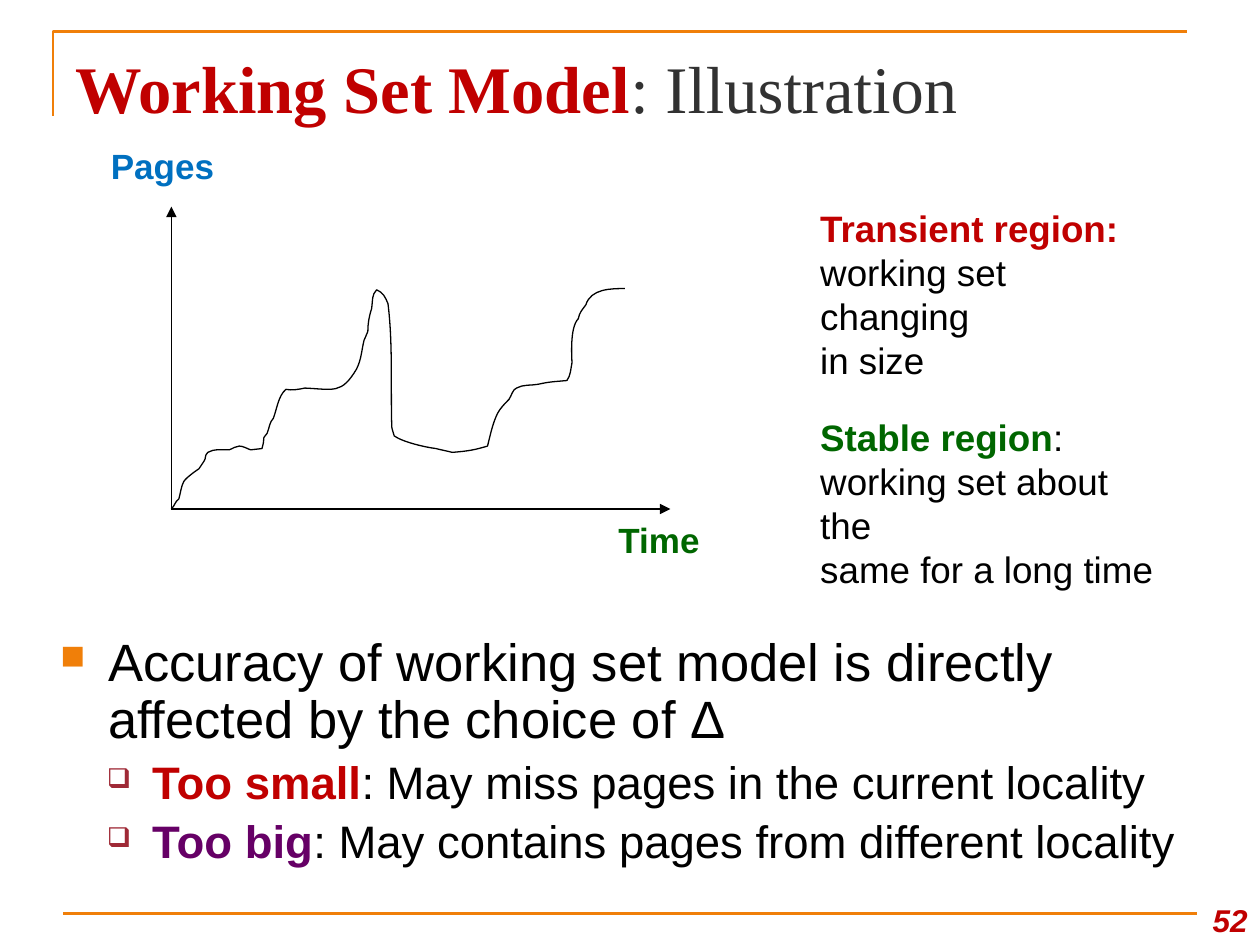
"""Build the working set model slide on a grid of 1000 columns by 750 rows."""
from dataclasses import dataclass
from typing import Optional

import pptx
import pptx.dml.color
import pptx.enum.shapes
import pptx.enum.text
import pptx.oxml.ns
import pptx.oxml.xmlchemy
import pptx.util

COLUMNS, ROWS = 1000, 750
CELL = pptx.util.Inches(10) // COLUMNS
ALIGN = pptx.enum.text.PP_ALIGN
ANCHOR = pptx.enum.text.MSO_ANCHOR
qn = pptx.oxml.ns.qn
new_element = pptx.oxml.xmlchemy.OxmlElement


@dataclass(frozen=True)
class Theme:
    """Colours, fonts and type sizes of the slide."""
    black: str = "000000"
    grey: str = "323232"
    orange: str = "F07F09"
    red: str = "C00000"
    dark_red: str = "9F2936"
    blue: str = "0070C0"
    green: str = "006600"
    purple: str = "660066"
    body_font: str = "Arial"
    title_font: str = "Times New Roman"
    title: int = 38
    body: int = 30
    detail: int = 26
    region: int = 21
    label: int = 20
    number: int = 18
    frame_width: float = 1.5
    graph_width: float = 0.75


THEME = Theme()


@dataclass(frozen=True)
class Box:
    """A rectangle in grid cells."""
    column: int
    row: int
    columns: int
    rows: int


@dataclass(frozen=True)
class Bullet:
    """A bullet sign with its colour, relative size and indents."""
    sign: str
    color: str
    percent: int
    margin: int
    hanging: int


@dataclass(frozen=True)
class Region:
    """A region of the graph and its explanation."""
    row: int
    name: str
    colon: str
    color: str
    lines: tuple


SQUARE = Bullet("■", THEME.orange, 65, 38, 38)
OPEN_SQUARE = Bullet("❑", THEME.dark_red, 60, 73, 36)

REGIONS = (
    Region(159, "Transient region:", "", THEME.red, ("working set changing", "in size")),
    Region(325, "Stable region", ":", THEME.green, ("working set about the", "same for a long time")),
)

DETAILS = (
    ("Too small", THEME.red, ": May miss pages in the current locality"),
    ("Too big", THEME.purple, ": May contains pages from different locality"),
)

ORIGIN = (136, 404)
AXIS_ENDS = ((136, 164), (532, 404))
CURVE = (
    (139, 401), (139, 398), (142, 396), (143, 393), (144, 385), (146, 382),
    (148, 379), (155, 374), (158, 372), (159, 370), (161, 368), (162, 366),
    (164, 363), (162, 362), (165, 359), (170, 356), (176, 357), (182, 357),
    (185, 356), (187, 354), (190, 354), (193, 354), (196, 356), (199, 357),
    (202, 356), (205, 357), (208, 356), (209, 355), (208, 353), (209, 352),
    (210, 346), (208, 349), (212, 344), (214, 339), (214, 335), (217, 332),
    (220, 324), (221, 314), (227, 309), (232, 310), (237, 309), (242, 308),
    (265, 309), (271, 313), (283, 293), (287, 285), (287, 278), (289, 270),
    (290, 268), (292, 263), (292, 263), (292, 257), (293, 251), (295, 245),
    (296, 238), (295, 234), (299, 230), (304, 232), (306, 236), (308, 241),
    (312, 273), (310, 308), (311, 339), (311, 340), (313, 346), (313, 346),
    (320, 351), (338, 355), (346, 356), (350, 357), (355, 358), (359, 359),
    (372, 358), (377, 357), (387, 354), (389, 346), (391, 336), (395, 328),
    (397, 324), (401, 320), (404, 317), (406, 314), (407, 309), (410, 308),
    (415, 305), (422, 306), (427, 305), (436, 303), (439, 303), (450, 302),
    (453, 298), (453, 293), (454, 288), (454, 284), (452, 260), (459, 253),
    (460, 248), (462, 246), (465, 242), (469, 229), (485, 229), (496, 229),
)


def rgb(color: str) -> pptx.dml.color.RGBColor:
    """Turn a hexadecimal string into a colour."""
    return pptx.dml.color.RGBColor.from_string(color)


def place(shape, box: Box) -> None:
    """Put a shape on the grid."""
    shape.left, shape.top = box.column * CELL, box.row * CELL
    shape.width, shape.height = box.columns * CELL, box.rows * CELL


def add_text(paragraph, text: str, *, size: float, color: str, bold: bool = False,
             italic: bool = False, name: str = THEME.body_font) -> None:
    """Add a formatted run to a paragraph."""
    run = paragraph.add_run()
    run.text = text
    font = run.font
    font.size, font.bold, font.italic, font.name = pptx.util.Pt(size), bold, italic, name
    font.color.rgb = rgb(color)


def set_frame(frame, anchor=ANCHOR.TOP, inset: tuple = (9, 4)) -> None:
    """Set wrapping, anchor and insets of a text frame."""
    frame.word_wrap, frame.vertical_anchor = True, anchor
    frame.margin_left = frame.margin_right = inset[0] * CELL
    frame.margin_top = frame.margin_bottom = inset[1] * CELL


def add_box(slide, box: Box, align=ALIGN.LEFT, anchor=ANCHOR.TOP, inset: tuple = (9, 4)):
    """Add a text box and return its frame."""
    shape = slide.shapes.add_textbox(0, 0, 0, 0)
    place(shape, box)
    set_frame(shape.text_frame, anchor, inset)
    shape.text_frame.paragraphs[0].alignment = align
    return shape.text_frame


def set_bullet(paragraph, bullet: Bullet) -> None:
    """Give a paragraph a bullet and a hanging indent."""
    properties = paragraph._p.get_or_add_pPr()
    properties.set("marL", str(bullet.margin * CELL))
    properties.set("indent", str(-bullet.hanging * CELL))
    color = new_element("a:buClr")
    value = new_element("a:srgbClr")
    value.set("val", bullet.color)
    color.append(value)
    size = new_element("a:buSzPct")
    size.set("val", str(bullet.percent * 1000))
    sign = new_element("a:buChar")
    sign.set("char", bullet.sign)
    properties.extend((color, size, sign))


def add_line(slide, start: tuple, end: tuple, color: str, width: float,
             head: Optional[str] = None) -> None:
    """Add a straight line, with an arrowhead at its end if one is named."""
    ends = [value * CELL for value in (*start, *end)]
    line = slide.shapes.add_connector(pptx.enum.shapes.MSO_CONNECTOR.STRAIGHT, *ends)
    line.line.color.rgb, line.line.width = rgb(color), pptx.util.Pt(width)
    if head:
        tail = new_element("a:tailEnd")
        tail.set("type", head)
        line.line._get_or_add_ln().append(tail)
    line._element.spPr.append(new_element("a:effectLst"))


def add_outline(slide, start: tuple, points: tuple, color: str, width: float,
                curved: bool = False) -> None:
    """Add an open outline, reading points in threes as cubic curves if curved."""
    builder = slide.shapes.build_freeform(*start, scale=CELL)
    builder.add_line_segments(points, close=False)
    shape = builder.convert_to_shape()
    shape.shadow.inherit = False
    shape.fill.background()
    shape.line.color.rgb, shape.line.width = rgb(color), pptx.util.Pt(width)
    if curved:
        outline = shape._element.find(".//" + qn("a:path"))
        segments = outline.findall(qn("a:lnTo"))
        for index in range(0, len(segments), 3):
            cubic = new_element("a:cubicBezTo")
            for segment in segments[index:index + 3]:
                cubic.append(segment[0])
                outline.remove(segment)
            outline.append(cubic)


def add_region(slide, region: Region) -> None:
    """Explain one region of the graph."""
    frame = add_box(slide, Box(642, region.row, 287, 149))
    heading = frame.paragraphs[0]
    add_text(heading, region.name, size=THEME.region, color=region.color, bold=True)
    if region.colon:
        add_text(heading, region.colon, size=THEME.region, color=THEME.black)
    for line in region.lines:
        add_text(frame.add_paragraph(), line, size=THEME.region, color=THEME.black)


def add_body(slide) -> None:
    """Add the bulleted conclusions."""
    frame = add_box(slide, Box(38, 500, 917, 200), inset=(10, 5))
    statement = frame.paragraphs[0]
    set_bullet(statement, SQUARE)
    add_text(statement, "Accuracy of working set model is directly affected by the choice of Δ",
             size=THEME.body, color=THEME.black)
    for name, color, text in DETAILS:
        paragraph = frame.add_paragraph()
        paragraph.level, paragraph.space_before = 1, pptx.util.Pt(6)
        set_bullet(paragraph, OPEN_SQUARE)
        add_text(paragraph, name, size=THEME.detail, color=color, bold=True)
        add_text(paragraph, text, size=THEME.detail, color=THEME.black)
    for paragraph in frame.paragraphs:
        paragraph.line_spacing = 0.9


def main() -> None:
    """Build and save the presentation."""
    presentation = pptx.Presentation()
    presentation.slide_width, presentation.slide_height = COLUMNS * CELL, ROWS * CELL
    slide = presentation.slides.add_slide(presentation.slide_layouts[5])
    add_outline(slide, (42, 92), ((42, 25), (942, 25)), THEME.orange, THEME.frame_width)
    add_line(slide, (50, 725), (950, 725), THEME.orange, THEME.frame_width)

    title = slide.shapes.title
    place(title, Box(50, 30, 900, 78))
    set_frame(title.text_frame, ANCHOR.MIDDLE, (10, 5))
    heading = title.text_frame.paragraphs[0]
    heading.alignment = ALIGN.LEFT
    add_text(heading, "Working Set Model", size=THEME.title, color=THEME.red, bold=True,
             name=THEME.title_font)
    add_text(heading, ": Illustration", size=THEME.title, color=THEME.grey, name=THEME.title_font)

    add_body(slide)
    add_outline(slide, ORIGIN, CURVE, THEME.black, THEME.graph_width, curved=True)
    for end in AXIS_ENDS:
        add_line(slide, ORIGIN, end, THEME.black, THEME.graph_width, "triangle")
    for text, color, box in (("Pages", THEME.blue, Box(46, 101, 166, 61)),
                             ("Time", THEME.green, Box(479, 407, 88, 43))):
        frame = add_box(slide, box, ALIGN.CENTER, ANCHOR.MIDDLE)
        add_text(frame.paragraphs[0], text, size=THEME.label, color=color, bold=True)
    for region in REGIONS:
        add_region(slide, region)
    number = add_box(slide, Box(942, 700, 58, 50), ALIGN.RIGHT, ANCHOR.BOTTOM, (10, 5))
    add_text(number.paragraphs[0], "52", size=THEME.number, color=THEME.red, bold=True, italic=True)
    presentation.save("out.pptx")


if __name__ == "__main__":
    main()
